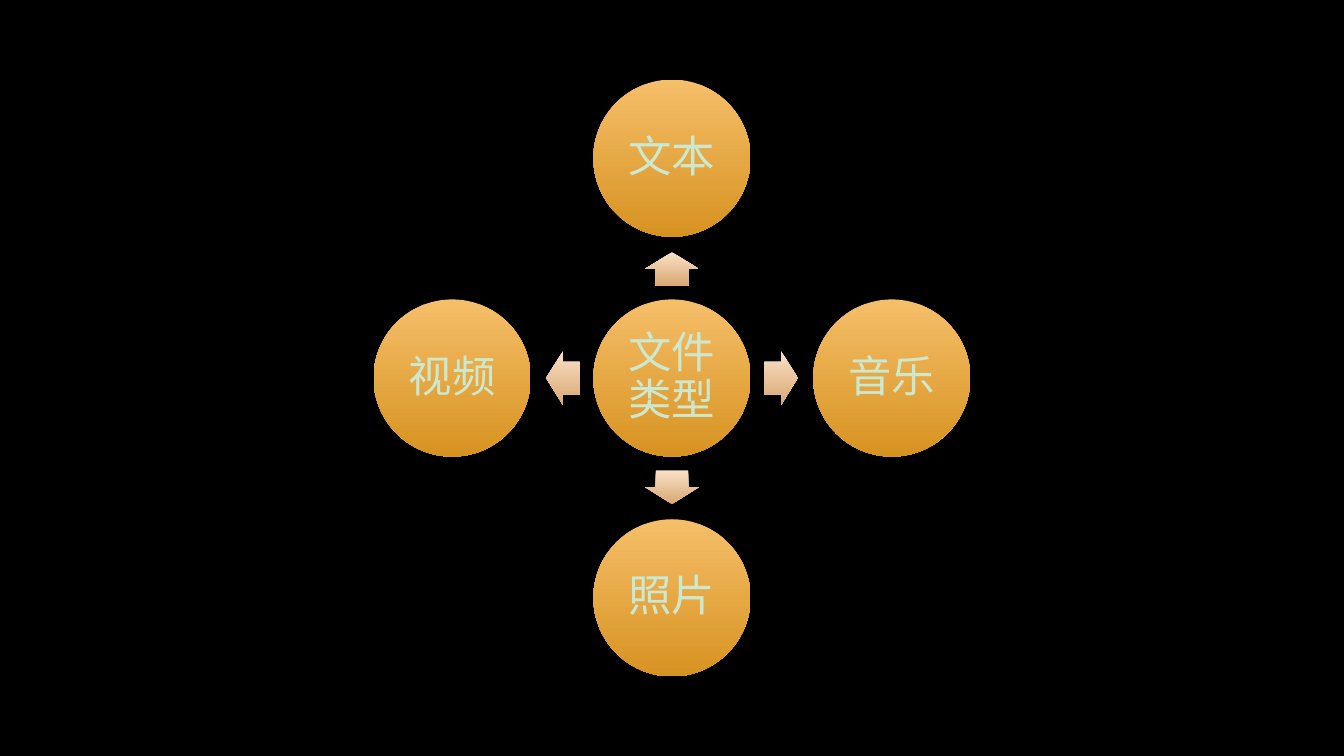
from dataclasses import dataclass

from pptx import Presentation
from pptx.dml.color import RGBColor
from pptx.enum.shapes import MSO_SHAPE
from pptx.enum.text import MSO_ANCHOR, PP_ALIGN
from pptx.shapes.autoshape import Shape
from pptx.slide import Slide
from pptx.util import Cm, Pt


@dataclass(frozen=True)
class Theme:
    background: str = "000000"
    circle: tuple[str, str] = ("F5BE69", "D79321")
    arrow: tuple[str, str] = ("FAE1C6", "D9A873")
    text: str = "CCE8CF"
    font: str = "League Spartan"
    size: int = 31


@dataclass(frozen=True)
class FileType:
    label: str
    across: int
    down: int
    rotation: int


THEME = Theme()
SLIDE_WIDTH, SLIDE_HEIGHT = 33.87, 19.05
CENTER_X, CENTER_Y = SLIDE_WIDTH / 2, SLIDE_HEIGHT / 2
CIRCLE_SIZE = 3.96
CIRCLE_DISTANCE = 5.54
ARROW_LENGTH, ARROW_WIDTH = 0.84, 1.35
ARROW_DISTANCE = 2.75

HUB_LABEL = "文件类型"
FILE_TYPES = [
    FileType("文本", 0, -1, 270),
    FileType("音乐", 1, 0, 0),
    FileType("照片", 0, 1, 90),
    FileType("视频", -1, 0, 180),
]


def add_gradient_shape(slide: Slide, kind: MSO_SHAPE, x: float, y: float,
                       width: float, height: float, colors: tuple[str, str]) -> Shape:
    shape = slide.shapes.add_shape(kind, Cm(x - width / 2), Cm(y - height / 2),
                                   Cm(width), Cm(height))
    shape.shadow.inherit = False
    shape.line.fill.background()
    shape.fill.gradient()
    shape.fill.gradient_angle = 270
    for stop, color in zip(shape.fill.gradient_stops, colors):
        stop.color.rgb = RGBColor.from_string(color)
    return shape


def write_text(shape: Shape, text: str, *, font: str = THEME.font, size: int = THEME.size,
               color: str = THEME.text, margin: float = 0.1) -> None:
    frame = shape.text_frame
    frame.word_wrap = True
    frame.vertical_anchor = MSO_ANCHOR.MIDDLE
    frame.margin_left = frame.margin_right = Cm(margin)
    frame.margin_top = frame.margin_bottom = Cm(margin)
    paragraph = frame.paragraphs[0]
    paragraph.alignment = PP_ALIGN.CENTER
    paragraph.line_spacing = 0.9
    run = paragraph.add_run()
    run.text = text
    run.font.name = font
    run.font.size = Pt(size)
    run.font.color.rgb = RGBColor.from_string(color)


def add_circle(slide: Slide, label: str, x: float, y: float) -> None:
    circle = add_gradient_shape(slide, MSO_SHAPE.OVAL, x, y,
                                CIRCLE_SIZE, CIRCLE_SIZE, THEME.circle)
    write_text(circle, label)


def add_arrow(slide: Slide, x: float, y: float, rotation: int) -> None:
    arrow = add_gradient_shape(slide, MSO_SHAPE.RIGHT_ARROW, x, y,
                               ARROW_LENGTH, ARROW_WIDTH, THEME.arrow)
    arrow.adjustments[0] = 0.6
    arrow.adjustments[1] = 0.5
    arrow.rotation = rotation
    gradient = arrow.element.spPr.xpath("a:gradFill")[0]
    gradient.set("rotWithShape", "0")


def main() -> None:
    presentation = Presentation()
    presentation.slide_width = Cm(SLIDE_WIDTH)
    presentation.slide_height = Cm(SLIDE_HEIGHT)
    slide = presentation.slides.add_slide(presentation.slide_layouts[6])
    slide.background.fill.solid()
    slide.background.fill.fore_color.rgb = RGBColor.from_string(THEME.background)

    add_circle(slide, HUB_LABEL, CENTER_X, CENTER_Y)
    for file_type in FILE_TYPES:
        add_arrow(slide, CENTER_X + file_type.across * ARROW_DISTANCE,
                  CENTER_Y + file_type.down * ARROW_DISTANCE, file_type.rotation)
        add_circle(slide, file_type.label, CENTER_X + file_type.across * CIRCLE_DISTANCE,
                   CENTER_Y + file_type.down * CIRCLE_DISTANCE)

    presentation.save("out.pptx")


if __name__ == "__main__":
    main()
